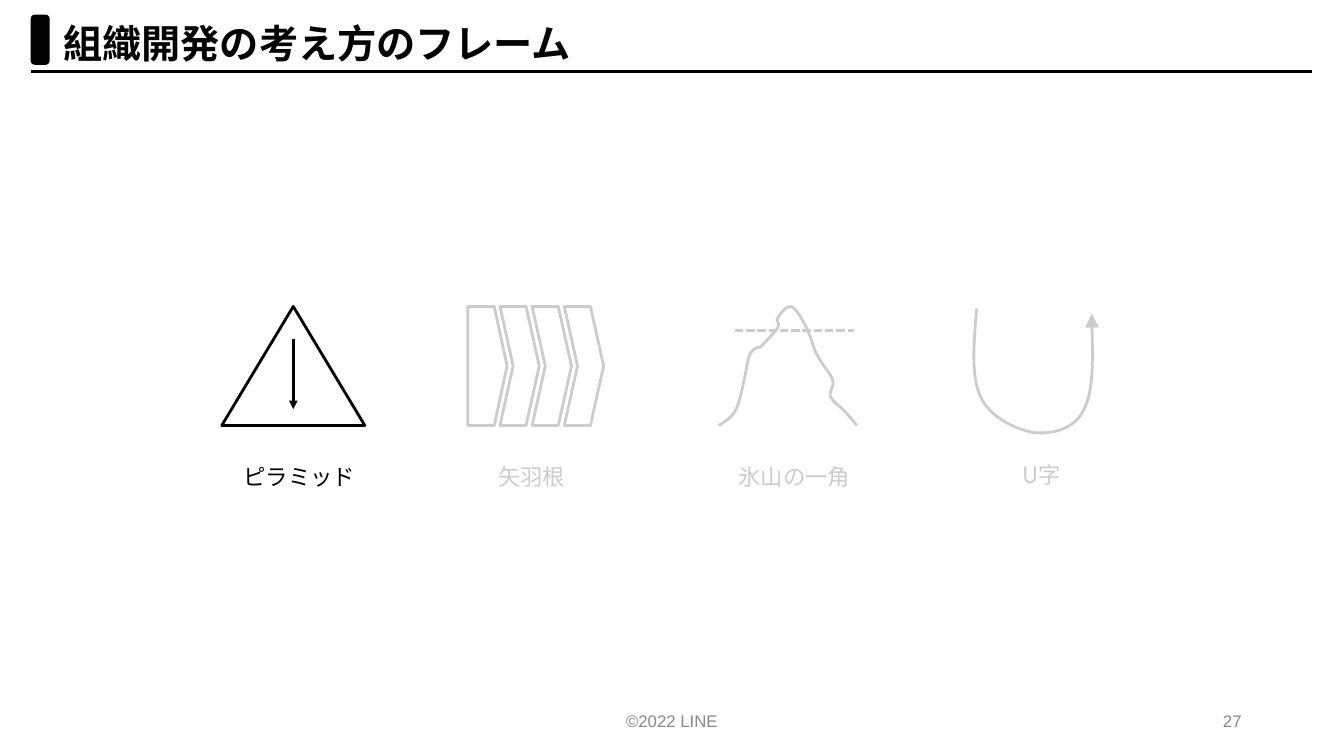
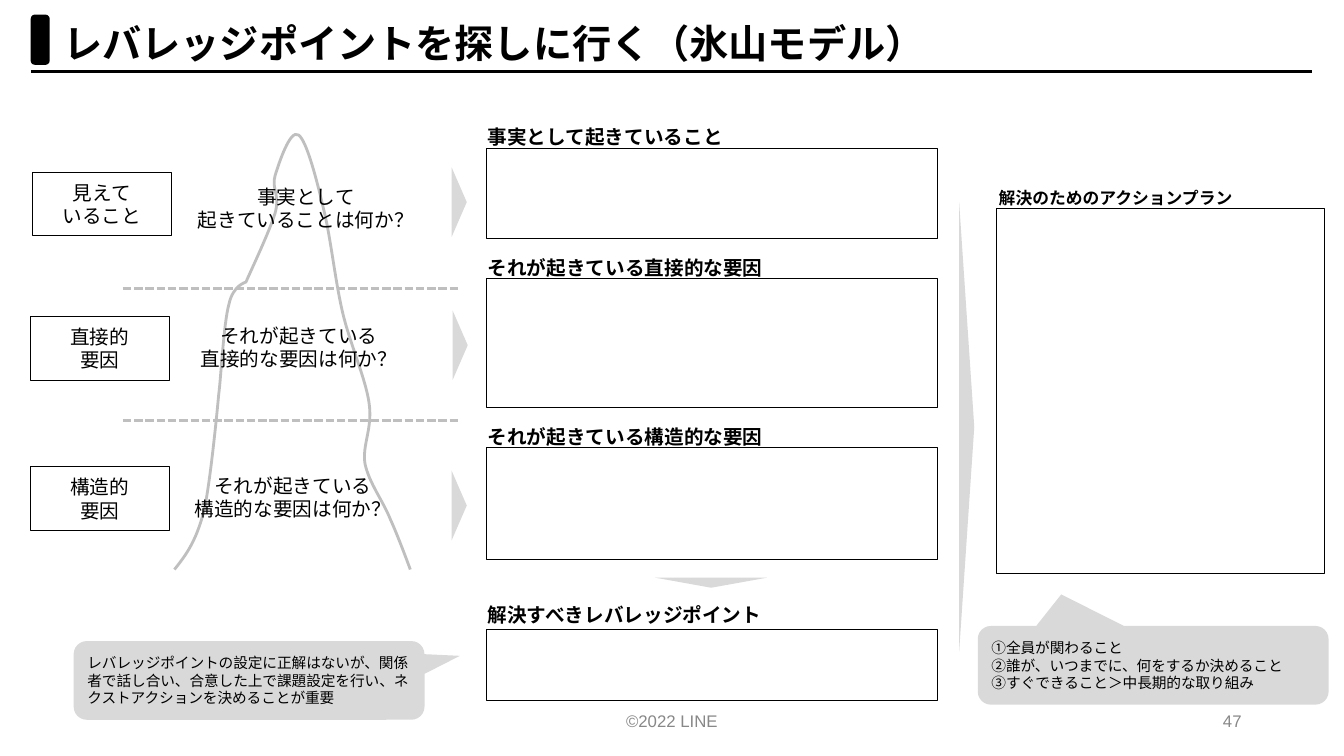
"""Build two slides on organisation development frames and the iceberg model."""
import dataclasses
import typing

import lxml.etree
import pptx
import pptx.dml.color
import pptx.enum.dml
import pptx.enum.shapes
import pptx.enum.text
import pptx.oxml.ns
import pptx.slide
import pptx.util

Pt = pptx.util.Pt
qn = pptx.oxml.ns.qn
Preset = pptx.enum.shapes.MSO_SHAPE
Align = pptx.enum.text.PP_ALIGN
Anchor = pptx.enum.text.MSO_ANCHOR
Point = tuple[float, float]

JAPANESE, LATIN = "Noto Sans CJK JP", "Arial"
BLACK, WHITE, FOOTER_GREY = "000000", "FFFFFF", "888888"
OUTLINE_GREY, FILL_GREY = "BFBFBF", "D9D9D9"

ICEBERG_PERCENT: list[Point] = [
    (0, 100), (4.7, 96.8), (9, 93.8), (12.4, 86.8), (15.4, 80.1), (18.8, 59.7), (18.8, 59.7),
    (19.7, 56.3), (20.9, 43.3), (23.1, 39.1), (24.8, 34.7), (30.3, 34), (30.3, 34),
    (32.5, 31.3), (40.6, 22), (42.7, 18.1), (44.9, 13.9), (41, 12.5), (42.7, 9.5),
    (44.4, 6.5), (49.1, -1.2), (52.6, 0.2), (56, 1.4), (60.3, 10.4), (63.2, 17.1),
    (66.2, 23.6), (67.9, 32.6), (70.9, 40), (73.9, 47.5), (80.8, 55.6), (82.5, 61.6),
    (84.2, 67.6), (79.5, 71.3), (80.8, 75.7), (82.5, 80.1), (88.5, 84.3), (91.5, 88.4),
    (94.9, 92.4), (100, 100), (100, 100),
]
U_CURVE: list[Point] = [
    (697.7, 220.3), (695.5, 244.8), (693.4, 269.3), (700.6, 283.7), (707, 298.1),
    (725.8, 306.7), (738, 308.9), (750.2, 310.3), (766.8, 307.4), (774, 293),
    (781.2, 279.4), (780.5, 251.3), (779.8, 223.9),
]


@dataclasses.dataclass(frozen=True)
class Box:
    """Place and size in points."""
    left: float
    top: float
    width: float
    height: float

    def lengths(self) -> list[pptx.util.Length]:
        """Return left, top, width and height as lengths."""
        return [Pt(value) for value in dataclasses.astuple(self)]


class Label(typing.NamedTuple):
    """Name under a frame icon."""
    text: str
    centre: float
    top: float


class Layer(typing.NamedTuple):
    """One level of the iceberg with its question and answer field."""
    tag: str
    tag_left: float
    tag_top: float
    question: str
    question_centre: float
    question_top: float
    pointer: Point


class Field(typing.NamedTuple):
    """Headed empty field to be filled in."""
    heading: str
    heading_at: Point
    size: float
    box: Box


class Callout(typing.NamedTuple):
    """Speech bubble with a hint."""
    text: str
    left: float
    top: float
    tip: Point


LABELS = [
    Label("ピラミッド", 213.8, 327.6), Label("矢羽根", 379.8, 327.6),
    Label("氷山の一角", 567.4, 327.6), Label("U字", 743.8, 326.2),
]
LAYERS = [
    Layer("見えて\nいること", 23, 123.1, "事実として\n起きていることは何か？", 218.5, 128.2, (328, 144.4)),
    Layer("直接的\n要因", 21.6, 226.1, "それが起きている\n直接的な要因は何か？", 213.5, 227.5, (328.7, 246.6)),
    Layer("構造的\n要因", 21.6, 333.4, "それが起きている\n構造的な要因は何か？", 209.2, 334.8, (328, 361.1)),
]
FIELDS = [
    Field("事実として起きていること", (341.3, 85.7), 14, Box(347, 105.8, 322.6, 64.1)),
    Field("それが起きている直接的な要因", (341.3, 179.3), 14, Box(347, 198.7, 322.6, 92.2)),
    Field("それが起きている構造的な要因", (341.3, 300.2), 14, Box(347, 319.7, 322.6, 79.9)),
    Field("解決すべきレバレッジポイント", (341.3, 427), 14, Box(347, 449.3, 322.6, 51.1)),
    Field("解決のためのアクションプラン", (706.3, 130.3), 12, Box(711.4, 149, 234.7, 260.6)),
]
CALLOUTS = [
    Callout("レバレッジポイントの設定に正解はないが、関係者で話し合い、合意した上で課題設定を行い、"
            "ネクストアクションを決めることが重要", 52.6, 457.9, (0.601, -0.312)),
    Callout("①全員が関わること\n②誰が、いつまでに、何をするか決めること\n"
            "③すぐできること＞中長期的な取り組み", 698.4, 447.1, (-0.262, -0.901)),
]


def colour(hex_code: str) -> pptx.dml.color.RGBColor:
    """Turn a hex string into a colour."""
    return pptx.dml.color.RGBColor.from_string(hex_code)


def write(holder, text: str, *, size: float, font: str = JAPANESE, ink: str = BLACK,
          bold: bool = False, align=Align.LEFT, anchor=Anchor.TOP) -> None:
    """Put formatted text into a shape or text box, one paragraph a line."""
    frame = holder.text_frame
    frame.word_wrap = True
    frame.vertical_anchor = anchor
    frame.text = text
    for paragraph in frame.paragraphs:
        paragraph.alignment = align
        for run in paragraph.runs:
            run.font.name, run.font.size, run.font.bold = font, Pt(size), bold
            run.font.color.rgb = colour(ink)
            east_asian = lxml.etree.Element(qn("a:ea"), typeface=font)
            run.font._element.find(qn("a:latin")).addnext(east_asian)


def add_text(slide: pptx.slide.Slide, box: Box, text: str, **text_format) -> None:
    """Add a text box."""
    write(slide.shapes.add_textbox(*box.lengths()), text, **text_format)


def paint(shape, fill: str | None, line: str | None, weight: float) -> None:
    """Set fill and outline and drop the shadow."""
    shape.shadow.inherit = False
    if fill:
        shape.fill.solid()
        shape.fill.fore_color.rgb = colour(fill)
    else:
        shape.fill.background()
    if line:
        shape.line.color.rgb = colour(line)
        shape.line.width = Pt(weight)
    else:
        shape.line.fill.background()


def add_preset(slide: pptx.slide.Slide, preset, box: Box, *, fill: str | None = None,
               line: str | None = None, weight: float = 2, turn: float = 0,
               adjust: typing.Sequence[float] = ()):
    """Add a preset shape."""
    shape = slide.shapes.add_shape(preset, *box.lengths())
    paint(shape, fill, line, weight)
    shape.rotation = turn
    for index, value in enumerate(adjust):
        shape.adjustments[index] = value
    return shape


def add_arrowhead(line_holder, size: str) -> None:
    """Put a triangle at the end of a line."""
    outline = line_holder.element.spPr.find(qn("a:ln"))
    lxml.etree.SubElement(outline, qn("a:tailEnd"), type="triangle", w=size, len=size)


def add_line(slide: pptx.slide.Slide, start: Point, end: Point, *, ink: str = BLACK,
             dashed: bool = False, arrow: bool = False) -> None:
    """Add a straight line."""
    connector = slide.shapes.add_connector(
        pptx.enum.shapes.MSO_CONNECTOR.STRAIGHT, *map(Pt, (*start, *end)))
    connector.line.color.rgb = colour(ink)
    connector.line.width = Pt(2)
    if dashed:
        connector.line.dash_style = pptx.enum.dml.MSO_LINE.SQUARE_DOT
    if arrow:
        add_arrowhead(connector, "med")
    lxml.etree.SubElement(connector.element.spPr, qn("a:effectLst"))


def add_curve(slide: pptx.slide.Slide, points: list[Point], ink: str = BLACK):
    """Add an open curve from a start point and cubic control points."""
    start, *controls = [(Pt(x), Pt(y)) for x, y in points]
    builder = slide.shapes.build_freeform(*start)
    builder.add_line_segments(controls, close=False)
    curve = builder.convert_to_shape()
    paint(curve, None, ink, 2)
    trace = next(curve.element.iter(qn("a:path")))
    steps = trace.findall(qn("a:lnTo"))
    for first in range(0, len(steps), 3):
        bezier = lxml.etree.SubElement(trace, qn("a:cubicBezTo"))
        for step in steps[first:first + 3]:
            bezier.append(step[0])
            trace.remove(step)
    return curve


def add_iceberg(slide: pptx.slide.Slide, box: Box, ink: str) -> None:
    """Draw the iceberg outline stretched to a box."""
    add_curve(slide, [(box.left + box.width * x / 100, box.top + box.height * y / 100)
                      for x, y in ICEBERG_PERCENT], ink)


def add_pointer(slide: pptx.slide.Slide, centre: Point, base: float, depth: float,
                turn: float) -> None:
    """Add a flat grey triangle turned about its centre."""
    box = Box(centre[0] - base / 2, centre[1] - depth / 2, base, depth)
    add_preset(slide, Preset.ISOSCELES_TRIANGLE, box, fill=FILL_GREY, turn=turn)


def start_slide(deck, title: str, number: str) -> pptx.slide.Slide:
    """Add a blank slide with title, rule, marker and footer."""
    slide = deck.slides.add_slide(deck.slide_layouts[6])
    add_text(slide, Box(38.2, 10, 685, 41), title, size=28, bold=True)
    add_line(slide, (22, 51.1), (937.4, 51.1))
    add_preset(slide, Preset.ROUNDED_RECTANGLE, Box(23, 11.5, 11.5, 33.8), fill=BLACK, line=BLACK)
    footer = dict(size=12, font=LATIN, ink=FOOTER_GREY, anchor=Anchor.MIDDLE)
    add_text(slide, Box(318, 500.4, 324, 28.8), "©2022 LINE", align=Align.CENTER, **footer)
    add_text(slide, Box(678, 500.4, 216, 28.8), number, align=Align.RIGHT, **footer)
    return slide


def build_frames(deck) -> None:
    """Draw the four frames with all but the pyramid veiled."""
    slide = start_slide(deck, "組織開発の考え方のフレーム", "27")
    top, height = 218.9, 85
    add_preset(slide, Preset.ISOSCELES_TRIANGLE, Box(158.4, top, 102.2, height), line=BLACK)
    add_line(slide, (209.5, 242), (209.5, 292.3), arrow=True)
    for position in range(4):
        feather, notch = (Preset.CHEVRON, 0.336) if position else (Preset.PENTAGON, 0.324)
        add_preset(slide, feather, Box(334.1 + 23 * position, top, 28.1, height),
                   line=BLACK, adjust=[notch])
    add_iceberg(slide, Box(513.4, top, 98.6, height), BLACK)
    add_line(slide, (524.9, 236.2), (609.8, 236.2), dashed=True)
    add_arrowhead(add_curve(slide, U_CURVE), "lg")
    for label in LABELS:
        add_text(slide, Box(label.centre - 50, label.top, 100, 26.6), label.text,
                 size=16, align=Align.CENTER)
    veil = add_preset(slide, Preset.RECTANGLE, Box(275, 131, 619.2, 275), fill=WHITE)
    tint = veil.element.spPr.find(qn("a:solidFill"))[0]
    lxml.etree.SubElement(tint, qn("a:alpha"), val="80000")


def build_iceberg_model(deck) -> None:
    """Draw the worksheet of the iceberg model."""
    slide = start_slide(deck, "レバレッジポイントを探しに行く（氷山モデル）", "47")
    add_iceberg(slide, Box(124.6, 95.8, 168.5, 311), OUTLINE_GREY)
    for waterline in (206, 300.2):
        add_line(slide, (87.8, waterline), (329, waterline), ink=OUTLINE_GREY, dashed=True)
    for layer in LAYERS:
        tag = add_preset(slide, Preset.RECTANGLE, Box(layer.tag_left, layer.tag_top, 99.4, 45.4),
                         line=BLACK, weight=0.75)
        write(tag, layer.tag, size=14, align=Align.CENTER, anchor=Anchor.MIDDLE)
        add_text(slide, Box(layer.question_centre - 120, layer.question_top, 240, 41),
                 layer.question, size=14, align=Align.CENTER)
        add_pointer(slide, layer.pointer, 49.7, 10.8, 90)
    for field in FIELDS:
        add_preset(slide, Preset.RECTANGLE, field.box, fill=WHITE, line=BLACK, weight=0.25)
        add_text(slide, Box(*field.heading_at, 240, 24.5), field.heading,
                 size=field.size, bold=True)
    add_pointer(slide, (508, 416.2), 80, 7.2, 180)
    add_pointer(slide, (690.5, 305), 321, 10.8, 90)
    for callout in CALLOUTS:
        bubble = add_preset(slide, Preset.ROUNDED_RECTANGULAR_CALLOUT,
                            Box(callout.left, callout.top, 250.6, 56.2),
                            fill=FILL_GREY, adjust=[*callout.tip, 0.167])
        write(bubble, callout.text, size=10.5, anchor=Anchor.MIDDLE)


def main() -> None:
    """Build and save the deck."""
    deck = pptx.Presentation()
    deck.slide_width, deck.slide_height = Pt(960), Pt(540)
    build_frames(deck)
    build_iceberg_model(deck)
    deck.save("out.pptx")


if __name__ == "__main__":
    main()
